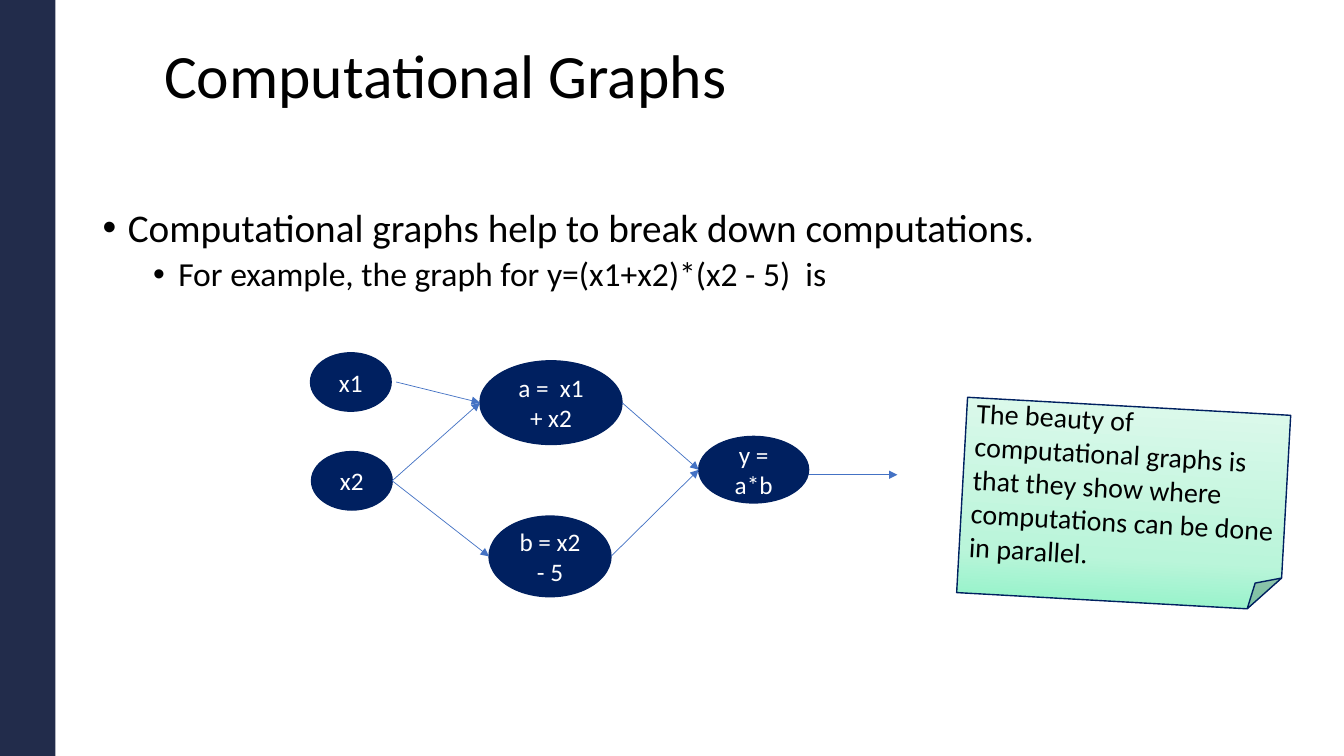
import pptx
import pptx.util
import pptx.dml.color
import pptx.enum.shapes
import pptx.enum.text
import pptx.oxml.ns
import lxml.etree

Inches = pptx.util.Inches
Pt = pptx.util.Pt
qn = pptx.oxml.ns.qn
SHAPES = pptx.enum.shapes.MSO_SHAPE
ANCHOR = pptx.enum.text.MSO_ANCHOR
ALIGN = pptx.enum.text.PP_ALIGN

COLORS = {
    "band": "222C4B",
    "node": "002060",
    "edge": "4472C4",
    "text": "000000",
    "node_text": "FFFFFF",
}
NOTE_STOPS = [(0, "8CF2C6"), (27, "BAF5DA"), (100, "DEF9EC")]

NODES = {
    "x1": ("x1", (0, 0, 0.8, 0.58)),
    "x2": ("x2", (0.01, 0.98, 0.8, 0.58)),
    "a": ("a =  x1 + x2", (1.68, 0.08, 1.41, 0.83)),
    "b": ("b = x2 - 5", (1.77, 1.62, 1.21, 0.8)),
    "y": ("y = a*b", (3.85, 0.83, 1.09, 0.66)),
}
EDGES = [("x1", "a", 0.05), ("x2", "a", 0), ("x2", "b", 0), ("a", "y", 0), ("b", "y", 0)]


def rgb(name):
    """Return the palette colour of the given name."""
    return pptx.dml.color.RGBColor.from_string(COLORS[name])


def style_para(para, size, color):
    """Set the font of a whole paragraph."""
    para.font.name = "Calibri"
    para.font.size = Pt(size)
    para.font.color.rgb = rgb(color)


def add_panel(page, kind, box, fill=None, line=None):
    """Add a preset shape without shadow, with optional solid fill and outline."""
    shape = page.shapes.add_shape(kind, *map(Inches, box))
    shape.shadow.inherit = False
    if fill:
        shape.fill.solid()
        shape.fill.fore_color.rgb = rgb(fill)
    if line:
        shape.line.color.rgb = rgb(line)
        shape.line.width = Pt(1)
    else:
        shape.line.fill.background()
    return shape


def add_title(page, box, text):
    """Add the slide title."""
    frame = page.shapes.add_textbox(*map(Inches, box)).text_frame
    frame.word_wrap = True
    para = frame.paragraphs[0]
    para.text = text
    para.line_spacing = 0.9
    style_para(para, 44, "text")


def add_bullets(page, box, items):
    """Add bulleted paragraphs given as (level, size, text)."""
    frame = page.shapes.add_textbox(*map(Inches, box)).text_frame
    frame.word_wrap = True
    for index, (level, size, text) in enumerate(items):
        para = frame.add_paragraph() if index else frame.paragraphs[0]
        para.text = text
        para.level = level
        para.line_spacing = 0.9
        if index:
            para.space_before = Pt(5)
        properties = para._p.get_or_add_pPr()
        properties.set("marL", str(Inches(0.25 + 0.5 * level)))
        properties.set("indent", str(Inches(-0.25)))
        font = lxml.etree.SubElement(properties, qn("a:buFont"))
        font.set("typeface", "Arial")
        lxml.etree.SubElement(properties, qn("a:buChar")).set("char", "•")
        style_para(para, size, "text")


def add_node(page, box, text):
    """Add one labelled ellipse of the graph."""
    shape = add_panel(page, SHAPES.OVAL, box, "node", "node")
    frame = shape.text_frame
    frame.word_wrap = True
    frame.vertical_anchor = ANCHOR.MIDDLE
    para = frame.paragraphs[0]
    para.text = text
    para.alignment = ALIGN.CENTER
    style_para(para, 18, "node_text")


def add_arrow(page, start, end):
    """Add a thin arrow between two points."""
    arrow = page.shapes.add_connector(
        pptx.enum.shapes.MSO_CONNECTOR.STRAIGHT, *map(Inches, (*start, *end)))
    arrow.line.color.rgb = rgb("edge")
    arrow.line.width = Pt(0.5)
    head = lxml.etree.SubElement(arrow.line._get_or_add_ln(), qn("a:tailEnd"))
    head.set("type", "triangle")
    lxml.etree.SubElement(arrow._element.spPr, qn("a:effectLst"))


def add_graph(page, left, top):
    """Add the nodes and arrows of the graph from its top left corner."""
    boxes = {}
    for name, (text, (x, y, width, height)) in NODES.items():
        boxes[name] = (left + x, top + y, width, height)
        add_node(page, boxes[name], text)

    def side(name, share):
        x, y, width, height = boxes[name]
        return x + share * width, y + height / 2

    for source, target, gap in EDGES:
        x, y = side(source, 1)
        add_arrow(page, (x + gap, y), side(target, 0))
    x, y = side("y", 1)
    add_arrow(page, (x, y + 0.05), (x + 0.88, y + 0.05))


def add_note(page, box, text):
    """Add the tilted note with a folded corner."""
    note = add_panel(page, SHAPES.FOLDED_CORNER, box, line="node")
    note.rotation = 3.2
    note.fill.gradient()
    note.fill.gradient_angle = 90
    stops = note._element.spPr.find(qn("a:gradFill")).find(qn("a:gsLst"))
    for stop in list(stops):
        stops.remove(stop)
    for percent, color in NOTE_STOPS:
        stop = lxml.etree.SubElement(stops, qn("a:gs"))
        stop.set("pos", str(percent * 1000))
        lxml.etree.SubElement(stop, qn("a:srgbClr")).set("val", color)
    frame = note.text_frame
    frame.word_wrap = True
    frame.vertical_anchor = ANCHOR.MIDDLE
    para = frame.paragraphs[0]
    para.text = text
    para.alignment = ALIGN.LEFT
    style_para(para, 20, "text")


def main():
    """Build and save the deck."""
    deck = pptx.Presentation()
    deck.slide_width, deck.slide_height = Inches(13.33), Inches(7.5)
    page = deck.slides.add_slide(deck.slide_layouts[6])
    add_panel(page, SHAPES.RECTANGLE, (0, 0, 0.55, 7.5), "band")
    add_title(page, (1.53, 0.4, 10.5, 1.45), "Computational Graphs")
    add_bullets(page, (0.92, 2.02, 11.5, 1.2), [
        (0, 28, "Computational graphs help to break down computations."),
        (1, 24, "For example, the graph for y=(x1+x2)*(x2 - 5)  is"),
    ])
    add_graph(page, 3.08, 3.5)
    add_note(page, (9.54, 4.03, 3.21, 1.94),
             "The beauty of computational graphs is that they show where "
             "computations can be done in parallel.")
    deck.save("out.pptx")


if __name__ == "__main__":
    main()
